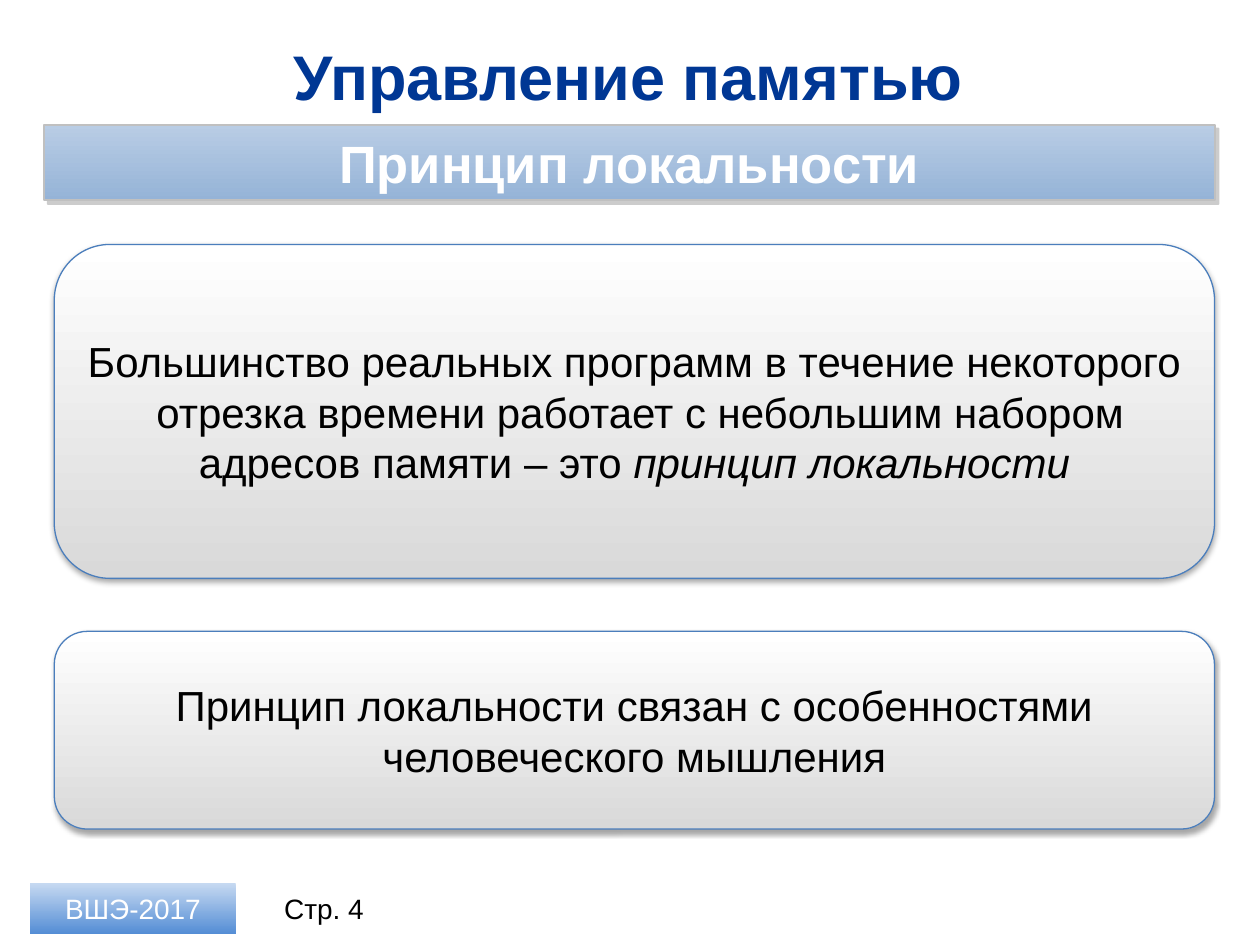
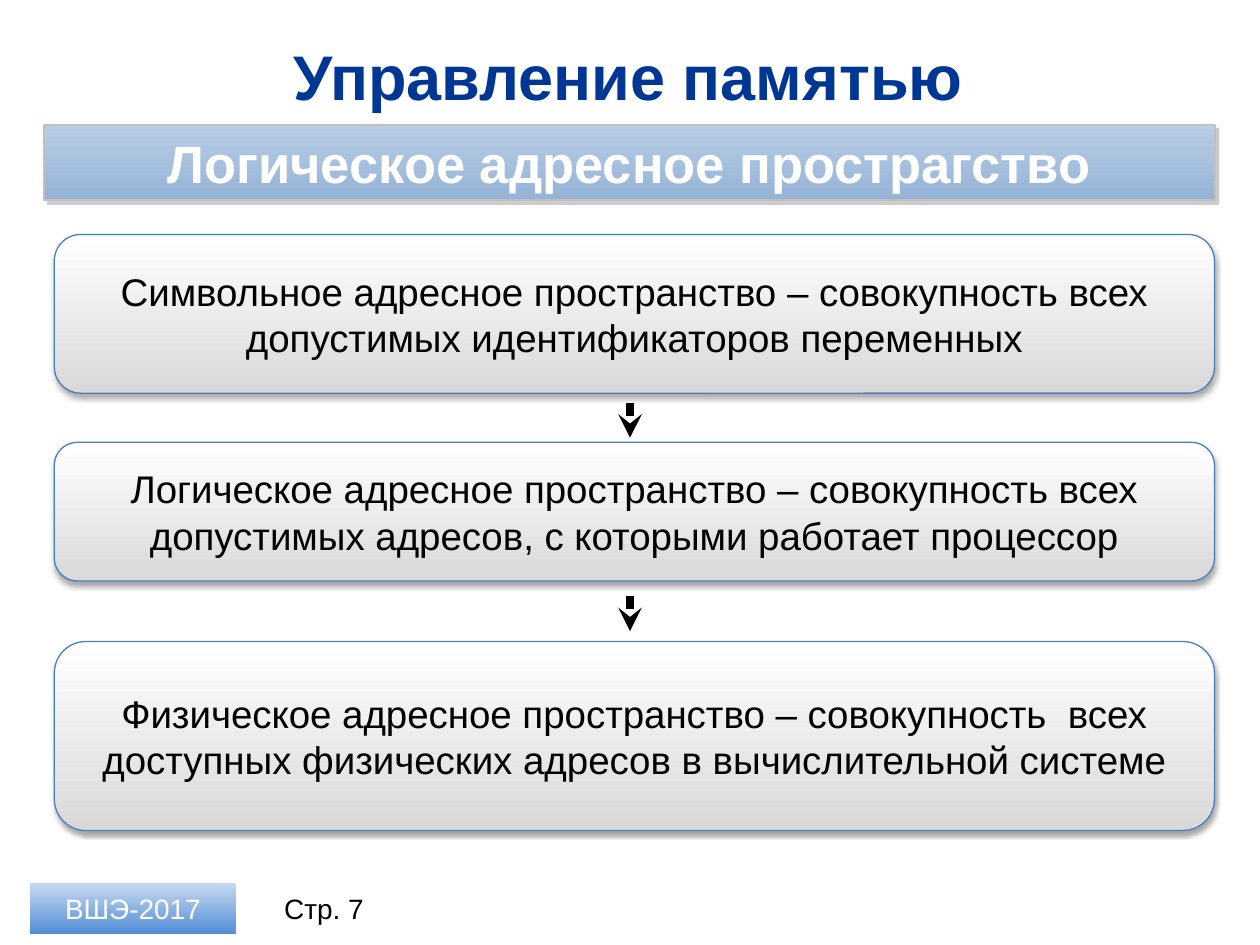
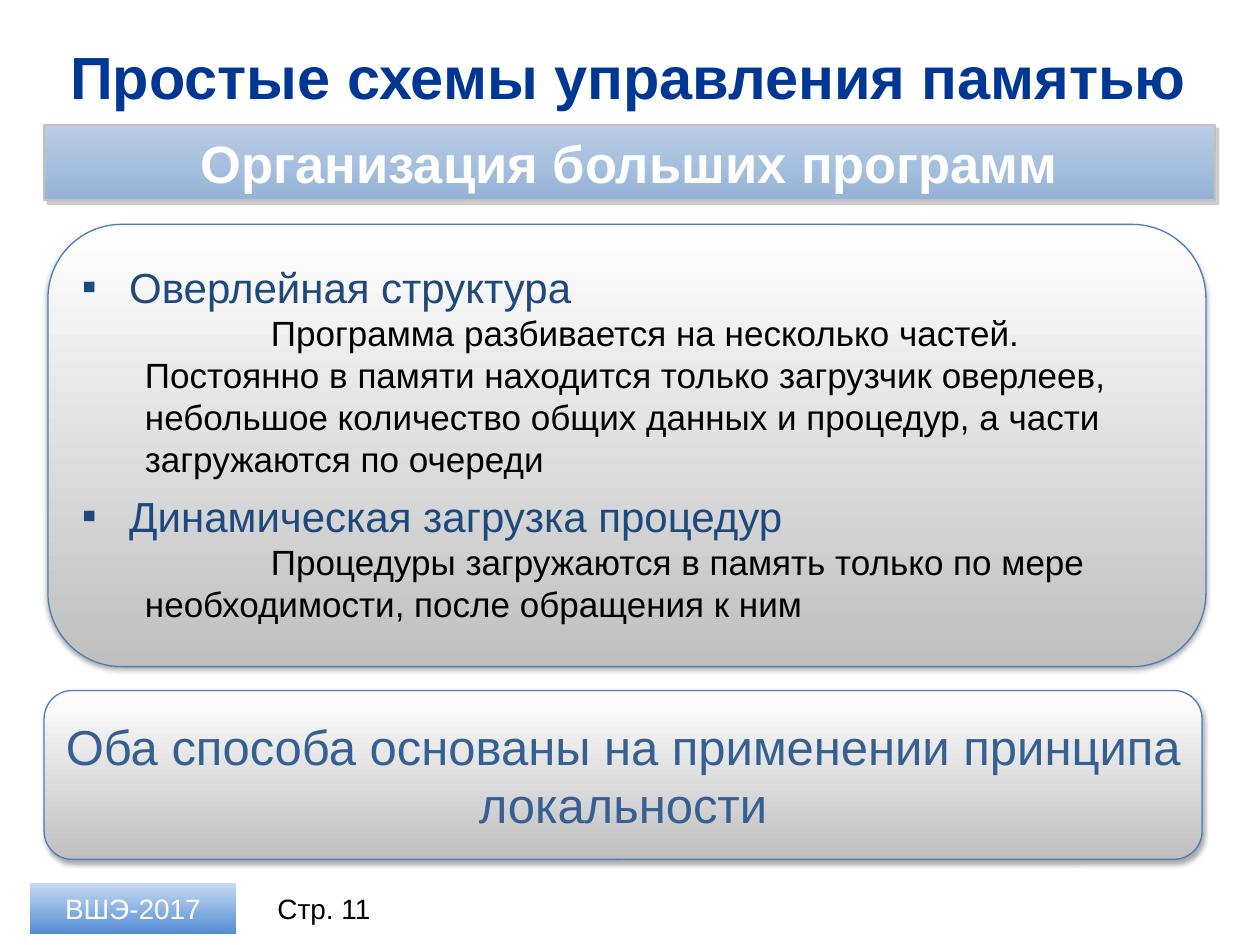
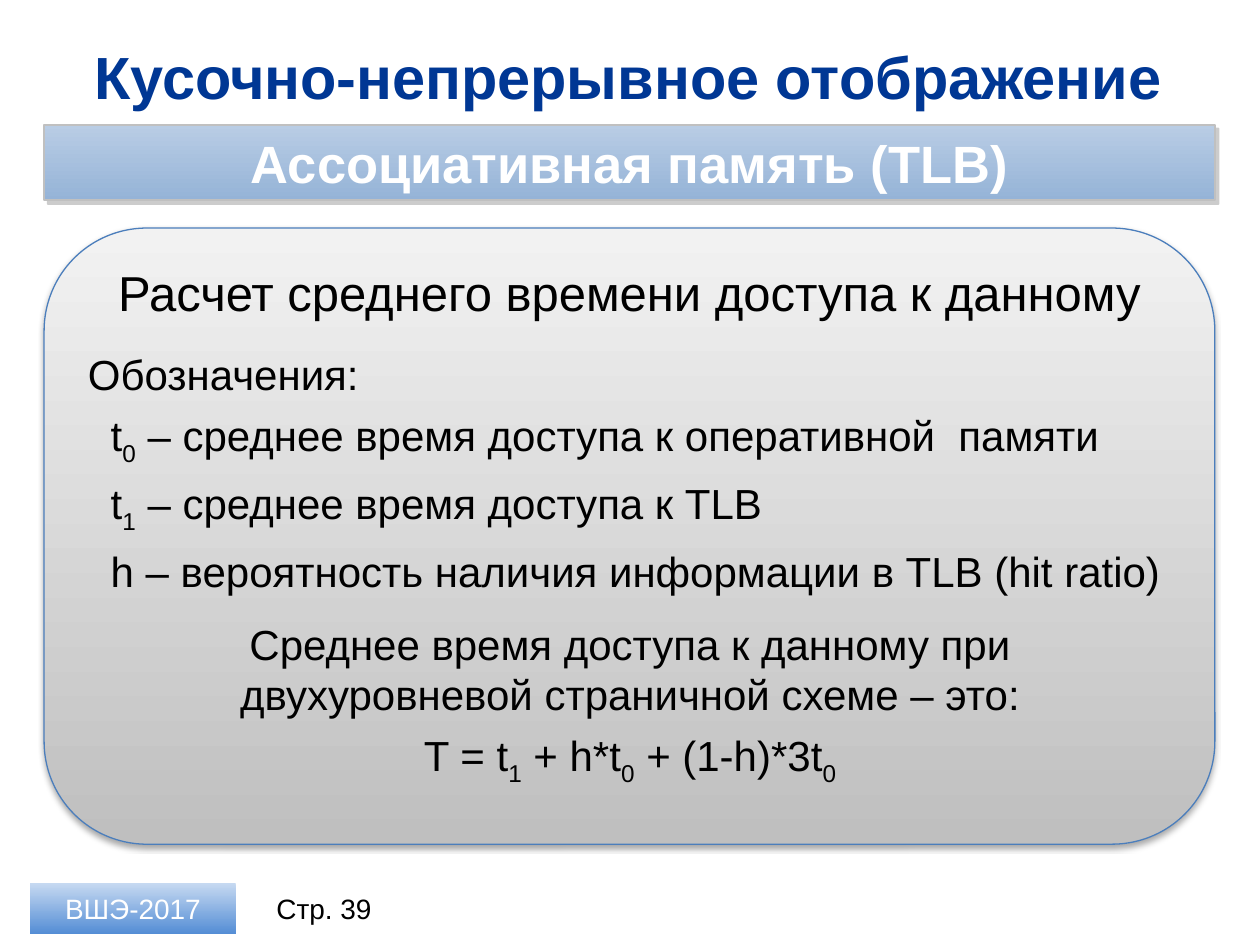
from dataclasses import dataclass
from typing import NamedTuple

from lxml.etree import SubElement
from pptx import Presentation
from pptx.dml.color import RGBColor
from pptx.enum.shapes import MSO_CONNECTOR as Connector, MSO_SHAPE as Preset
from pptx.enum.text import MSO_ANCHOR as Anchor, PP_ALIGN as Align
from pptx.oxml.ns import qn
from pptx.util import Pt


@dataclass(frozen=True)
class Theme:
    """Colours, type sizes and effects shared by all slides."""

    font: str = "Arial"
    black: str = "000000"
    white: str = "FFFFFF"
    title: str = "003794"
    accent: str = "1F497D"
    conclusion: str = "376092"
    card_line: str = "4B7EBC"
    band_line: str = "C0C0C0"
    card_fill: tuple = ("FFFFFF", "D9D9D9")
    dark_fill: tuple = ("FFFFFF", "BFBFBF")
    panel_fill: tuple = ("F2F2F2", "BFBFBF")
    band_fill: tuple = ("B9CDE5", "95B3D7")
    tag_fill: tuple = ("C6D9F1", "558ED5")
    title_size: int = 36
    long_title_size: int = 34
    band_size: int = 30
    heading_size: int = 28
    body_size: int = 24
    step_size: int = 22
    detail_size: int = 20
    footer_size: int = 16


class Box(NamedTuple):
    """A rectangle in points."""

    left: float
    top: float
    width: float
    height: float

    def inside(self, left, top, width, height):
        """Return a box given by its offset from this one."""
        return Box(self.left + left, self.top + top, width, height)

    def lengths(self):
        """Return the four lengths as Pt values."""
        return [Pt(value) for value in self]


class Shadow(NamedTuple):
    """An outer shadow: colour, opacity in percent, blur, distance, angle."""

    color: str
    opacity: int
    blur: float
    distance: float
    angle: int


@dataclass
class Line:
    """A paragraph: plain text or (text, style) pieces, and its format."""

    pieces: object
    size: int
    color: str = "000000"
    align: object = Align.CENTER
    bold: bool = False
    before: float = 0
    after: float = 0
    margin: float = 0
    indent: float = 0
    bullet: str = ""


THEME = Theme()
CARD_SHADOW = Shadow("000000", 35, 3.1, 1.8, 90)
BAND_SHADOW = Shadow("808080", 40, 0, 3, 45)
DEFAULT_INSETS = (7.2, 3.6, 7.2, 3.6)
PAGE = Box(0, 0, 720, 540)
BODY = Box(31, 134, 663, 342)
WIDE_BODY = Box(25.2, 128.2, 669, 363)


def element(parent, tag, **attributes):
    """Append a drawing element with the given attributes."""
    child = SubElement(parent, qn(tag))
    for name, value in attributes.items():
        child.set(name, str(value))
    return child


def write_line(paragraph, line):
    """Fill one paragraph and format its runs."""
    pieces = [(line.pieces, "")] if isinstance(line.pieces, str) else line.pieces
    paragraph.alignment = line.align
    paragraph.space_before, paragraph.space_after = Pt(line.before), Pt(line.after)
    properties = paragraph._p.get_or_add_pPr()
    properties.set("marL", str(Pt(line.margin)))
    properties.set("indent", str(Pt(line.indent)))
    if line.bullet:
        element(element(properties, "a:buClr"), "a:srgbClr", val=line.color)
        element(properties, "a:buFont", typeface=THEME.font)
        element(properties, "a:buChar", char=line.bullet)
    for text, style in pieces:
        run = paragraph.add_run()
        run.text = text
        font = run.font
        font.name, font.size, font.bold = THEME.font, Pt(line.size), line.bold
        font.color.rgb = RGBColor.from_string(line.color)
        if style == "italic":
            font.italic = True
        if style == "subscript":
            run._r.get_or_add_rPr().set("baseline", "-25000")


def write_lines(shape, lines, anchor=Anchor.MIDDLE, insets=DEFAULT_INSETS):
    """Fill a shape with paragraphs."""
    frame = shape.text_frame
    frame.word_wrap = True
    frame.vertical_anchor = anchor
    (frame.margin_left, frame.margin_top,
     frame.margin_right, frame.margin_bottom) = [Pt(inset) for inset in insets]
    for index, line in enumerate(lines):
        paragraph = frame.add_paragraph() if index else frame.paragraphs[0]
        write_line(paragraph, line)


def add_text(slide, box, *lines, anchor=Anchor.MIDDLE):
    """Add a text box."""
    write_lines(slide.shapes.add_textbox(*box.lengths()), lines, anchor)


def add_block(slide, box, preset, fill, line_color=None, line_width=0.75, shadow=None):
    """Add a shape with a top-to-bottom gradient."""
    shape = slide.shapes.add_shape(preset, *box.lengths())
    shape.fill.gradient()
    shape.fill.gradient_angle = 270
    for stop, color in zip(shape.fill.gradient_stops, fill):
        stop.color.rgb = RGBColor.from_string(color)
    if line_color:
        shape.line.color.rgb = RGBColor.from_string(line_color)
        shape.line.width = Pt(line_width)
    else:
        shape.line.fill.background()
    shape.shadow.inherit = False
    if shadow:
        effects = shape.element.spPr.find(qn("a:effectLst"))
        outer = element(effects, "a:outerShdw", blurRad=Pt(shadow.blur),
                        dist=Pt(shadow.distance), dir=shadow.angle * 60000,
                        algn="tl", rotWithShape=0)
        color = element(outer, "a:srgbClr", val=shadow.color)
        element(color, "a:alpha", val=shadow.opacity * 1000)
    return shape


def add_card(slide, box, *lines, fill=THEME.card_fill, insets=DEFAULT_INSETS):
    """Add a rounded card with text."""
    card = add_block(slide, box, Preset.ROUNDED_RECTANGLE, fill,
                     THEME.card_line, shadow=CARD_SHADOW)
    write_lines(card, lines, insets=insets)


def add_down_arrow(slide, x, top, bottom):
    """Add a vertical arrow pointing down."""
    arrow = slide.shapes.add_connector(Connector.STRAIGHT, Pt(x), Pt(top), Pt(x), Pt(bottom))
    arrow.line.width = Pt(4.5)
    arrow.line.color.rgb = RGBColor.from_string(THEME.black)
    properties = arrow.element.spPr
    element(properties.find(qn("a:ln")), "a:tailEnd", type="stealth")
    element(properties, "a:effectLst")


def add_header(slide, page, title, subtitle, title_size):
    """Add the title and the subtitle band."""
    add_text(slide, page.inside(17.3, 18.7, 683.3, 49),
             Line(title, title_size, THEME.title, bold=True))
    band = add_block(slide, page.inside(25.2, 71.3, 669, 43.2), Preset.RECTANGLE,
                     THEME.band_fill, THEME.band_line, 1, BAND_SHADOW)
    write_lines(band, [Line(subtitle, THEME.band_size, THEME.white, bold=True)],
                insets=(17.3, 2.9, 17.3, 2.9))


def add_footer(slide, page, number):
    """Add the course tag and the page number."""
    tag = add_block(slide, page.inside(17.3, 504.7, 117.4, 28.8),
                    Preset.RECTANGLE, THEME.tag_fill)
    write_lines(tag, [Line("ВШЭ-2017", THEME.footer_size, THEME.white)])
    add_text(slide, page.inside(146.2, 504.7, 77.8, 28.8),
             Line(f"Стр. {number}", THEME.footer_size))


def add_locality(slide, body):
    """Place the two statements of the locality principle."""
    add_card(slide, body.inside(0, 5.7, body.width, 190.8), Line([
        ("Большинство реальных программ в течение некоторого  отрезка времени работает "
         "с небольшим набором адресов памяти – это ", ""),
        ("принцип локальности", "italic")], THEME.body_size))
    add_card(slide, body.inside(0, 226.8, body.width, 113), Line(
        "Принцип локальности связан с особенностями человеческого мышления",
        THEME.body_size))


def add_address_spaces(slide, body):
    """Place the chain of address spaces with arrows in the gaps."""
    steps = [
        (0, 90.7, "Символьное адресное пространство – совокупность всех "
                  "допустимых идентификаторов переменных"),
        (118.8, 79.2, "Логическое адресное пространство – совокупность всех "
                      "допустимых адресов, с которыми работает процессор"),
        (232.6, 108, "Физическое адресное пространство – совокупность  всех "
                     "доступных физических адресов в вычислительной системе"),
    ]
    for top, height, text in steps:
        add_card(slide, body.inside(0, top, body.width, height), Line(text, THEME.step_size))
    for (top, height, _), (next_top, _, _) in zip(steps, steps[1:]):
        middle = body.top + (top + height + next_top) / 2 + 1.4
        add_down_arrow(slide, PAGE.width / 2, middle - 10, middle + 10)


def add_large_programs(slide, body):
    """Place the two techniques and the conclusion."""
    techniques = [
        ("Оверлейная структура",
         "Программа разбивается на несколько частей. Постоянно в памяти находится только "
         "загрузчик оверлеев, небольшое количество общих данных и процедур, а части "
         "загружаются по очереди"),
        ("Динамическая загрузка процедур",
         "Процедуры загружаются в память только по мере необходимости, "
         "после обращения к ним"),
    ]
    lines = []
    for name, description in techniques:
        lines.append(Line(name, THEME.body_size, THEME.accent, Align.LEFT,
                          before=6 if lines else 0, margin=27, indent=-27, bullet="▪"))
        lines.append(Line(description, THEME.detail_size, align=Align.LEFT,
                          margin=36, indent=72))
    add_card(slide, body.inside(2.2, 0, 661.7, 252.7), *lines,
             fill=THEME.dark_fill, insets=(7.2, 8.6, 7.2, 11.5))
    add_card(slide, body.inside(0, 266.4, 661.7, 96.5),
             Line("Оба способа основаны на применении принципа локальности",
                  THEME.heading_size, THEME.conclusion), fill=THEME.dark_fill)


def add_access_time(slide, body):
    """Place the notation and the formula of the mean access time."""
    panel = body.inside(0, 2.1, body.width, 352.1)
    add_card(slide, panel, fill=THEME.panel_fill)
    add_text(slide, panel.inside(29.5, 15.9, 609.8, 41),
             Line("Расчет среднего времени доступа к данному", THEME.heading_size),
             anchor=Anchor.TOP)
    terms = [
        [("t", ""), ("0", "subscript"), (" – среднее время доступа к оперативной  памяти", "")],
        [("t", ""), ("1", "subscript"), (" – среднее время доступа к TLB", "")],
        "h – вероятность наличия информации в TLB (hit ratio)",
    ]
    add_text(slide, panel.inside(18, 65.5, 635.8, 141.8),
             Line("Обозначения:", THEME.body_size, align=Align.LEFT, after=6),
             *[Line(term, THEME.body_size, align=Align.LEFT, margin=13,
                    before=6 if index else 0) for index, term in enumerate(terms)],
             anchor=Anchor.TOP)
    formula = [("T = t", ""), ("1", "subscript"), (" + h*t", ""), ("0", "subscript"),
               (" + (1-h)*3t", ""), ("0", "subscript")]
    add_text(slide, panel.inside(68.4, 219.6, 532.8, 100.8),
             Line("Среднее время доступа к данному при двухуровневой страничной схеме – это:",
                  THEME.body_size),
             Line(formula, THEME.body_size, before=6), anchor=Anchor.TOP)


def main():
    """Build the four slides and save them."""
    presentation = Presentation()
    presentation.slide_width, presentation.slide_height = Pt(PAGE.width), Pt(PAGE.height)
    pages = [
        (4, "Управление памятью", THEME.title_size,
         "Принцип локальности", add_locality, BODY),
        (7, "Управление памятью", THEME.title_size,
         "Логическое адресное прострагство", add_address_spaces, BODY),
        (11, "Простые схемы управления памятью", THEME.long_title_size,
         "Организация больших программ", add_large_programs, WIDE_BODY),
        (39, "Кусочно-непрерывное отображение", THEME.long_title_size,
         "Ассоциативная память (TLB)", add_access_time, WIDE_BODY),
    ]
    for number, title, title_size, subtitle, add_content, body in pages:
        slide = presentation.slides.add_slide(presentation.slide_layouts[6])
        add_header(slide, PAGE, title, subtitle, title_size)
        add_content(slide, body)
        add_footer(slide, PAGE, number)
    presentation.save("out.pptx")


if __name__ == "__main__":
    main()
